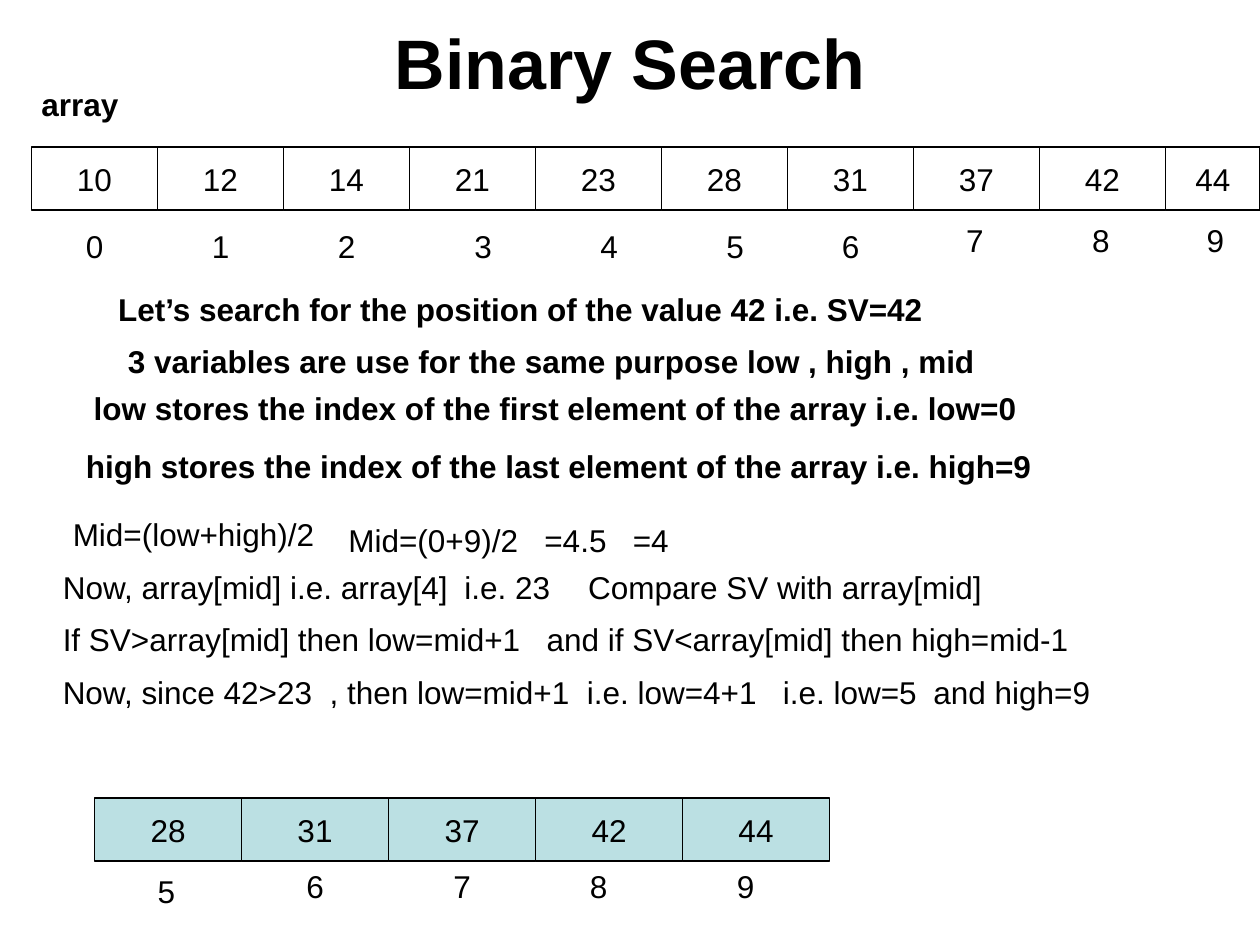
"""Build a slide that walks through one step of a binary search."""
from lxml import etree
from pptx import Presentation
from pptx.dml.color import RGBColor
from pptx.enum.shapes import MSO_SHAPE
from pptx.enum.text import MSO_ANCHOR, PP_ALIGN
from pptx.oxml.ns import qn
from pptx.util import Pt

RECTANGLE = MSO_SHAPE.RECTANGLE
MIDDLE, TOP = MSO_ANCHOR.MIDDLE, MSO_ANCHOR.TOP
CENTER, LEFT = PP_ALIGN.CENTER, PP_ALIGN.LEFT
BLACK, CELL_FILL = "000000", "BBE0E3"
CELL_HEIGHT, LINE_HEIGHT, INDEX_WIDTH = 36, 28.8, 25


def write(shape, text, size=18, bold=False, align=LEFT, anchor=TOP, stops=()):
    frame = shape.text_frame
    frame.word_wrap = False
    frame.vertical_anchor = anchor
    paragraph = frame.paragraphs[0]
    paragraph.alignment = align
    if stops:
        tabs = etree.SubElement(paragraph._p.get_or_add_pPr(), qn("a:tabLst"))
        for stop in stops:
            etree.SubElement(tabs, qn("a:tab"), pos=str(Pt(stop)), algn="l")
    run = paragraph.add_run()
    run.text = text
    run.font.name = "Arial"
    run.font.size = Pt(size)
    run.font.bold = bold
    run.font.color.rgb = RGBColor.from_string(BLACK)


def add_label(text, left, top, width, height=LINE_HEIGHT, **style):
    label = slide.shapes.add_textbox(Pt(left), Pt(top), Pt(width), Pt(height))
    write(label, text, **style)


prs = Presentation()
prs.slide_width, prs.slide_height = Pt(720), Pt(540)
slide = prs.slides.add_slide(prs.slide_layouts[6])

add_label("Binary Search", 36, 21.6, 648, 26.6, size=40, bold=True, align=CENTER, anchor=MIDDLE)
add_label("array", 16.5, 45, 62, bold=True)

array_values = [10, 12, 14, 21, 23, 28, 31, 37, 42, 44]
upper_half = array_values[5:]
array_widths = [72] * 9 + [54]
array_rows = [
    (18, 84, array_values, array_widths, None),
    (54, 456, upper_half, [84] * len(upper_half), CELL_FILL),
]
for left, top, values, widths, fill in array_rows:
    for value, width in zip(values, widths):
        cell = slide.shapes.add_shape(RECTANGLE, Pt(left), Pt(top), Pt(width), Pt(CELL_HEIGHT))
        cell.shadow.inherit = False
        if fill:
            cell.fill.solid()
            cell.fill.fore_color.rgb = RGBColor.from_string(fill)
        else:
            cell.fill.background()
        cell.line.color.rgb = RGBColor.from_string(BLACK)
        cell.line.width = Pt(0.75)
        write(cell, str(value), align=CENTER, anchor=MIDDLE)
        left += width

index_groups = [
    (0, 126, [42, 114, 186, 264, 336, 408, 474]),
    (7, 123, [545, 617, 682.5]),
    (5, 495, [83]),
    (6, 492, [168, 252, 330, 414]),
]
for first_index, top, lefts in index_groups:
    for index, left in enumerate(lefts, first_index):
        add_label(str(index), left, top, INDEX_WIDTH)

setup_lines = [
    ("Let’s search for the position of the value 42 i.e. SV=42", 59, 162, 477, CENTER),
    ("3 variables are use for the same purpose low , high , mid", 66, 192, 504, LEFT),
    ("low stores the index of the first element of the array i.e. low=0", 46.5, 219, 546, LEFT),
    ("high stores the index of the last element of the array i.e. high=9", 42, 252, 559, LEFT),
]
for text, left, top, width, align in setup_lines:
    add_label(text, left, top, width, bold=True, align=align)

step_lines = [
    ("Mid=(low+high)/2", 34.5, 291, 156, ()),
    ("Mid=(0+9)/2\t=4.5\t=4", 192, 294, 201, (112, 162.5)),
    ("Now, array[mid] i.e. array[4]\ti.e. 23", 28.8, 321, 298, (229.5,)),
    ("Compare SV with array[mid]", 329, 321, 244, ()),
    ("If SV>array[mid] then low=mid+1\tand if SV<array[mid] then high=mid-1",
     28.8, 351, 593, (276.5,)),
    ("Now, since 42>23\t, then low=mid+1\ti.e. low=4+1\ti.e. low=5\tand high=9",
     28.8, 381, 607, (152.5, 299.5, 411.5, 497.5)),
]
for text, left, top, width, stops in step_lines:
    add_label(text, left, top, width, stops=stops)

prs.save("out.pptx")
